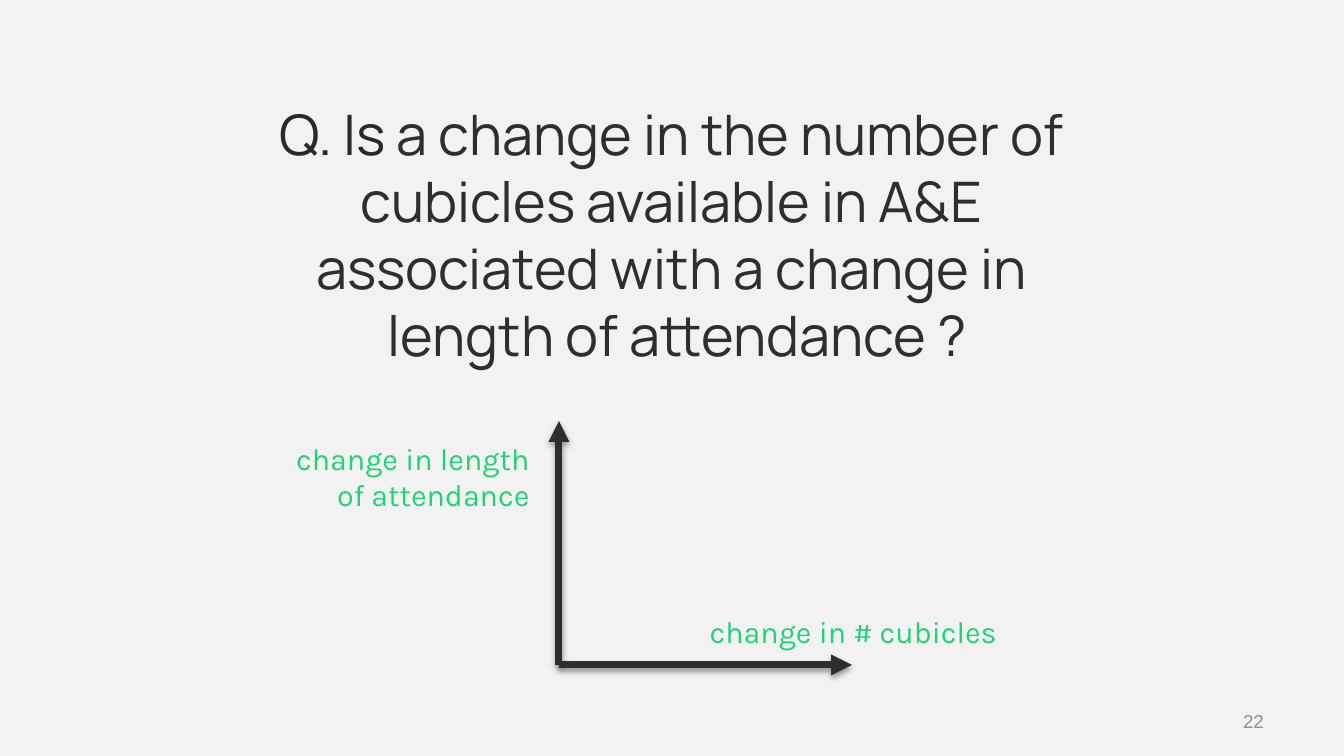
from lxml import etree
from pptx import Presentation
from pptx.dml.color import RGBColor
from pptx.enum.shapes import MSO_CONNECTOR
from pptx.enum.text import MSO_ANCHOR, PP_ALIGN
from pptx.oxml import parse_xml
from pptx.oxml.ns import nsdecls, qn
from pptx.util import Emu, Pt

EMU_PER_PX = 914400 / 134.4
STRAIGHT = MSO_CONNECTOR.STRAIGHT
TOP, MIDDLE, BOTTOM = MSO_ANCHOR.TOP, MSO_ANCHOR.MIDDLE, MSO_ANCHOR.BOTTOM
CENTER, RIGHT = PP_ALIGN.CENTER, PP_ALIGN.RIGHT

BACKGROUND = RGBColor(0xF2, 0xF2, 0xF2)
INK = RGBColor(0x2E, 0x2E, 0x2E)
WARM_INK = RGBColor(0x2C, 0x28, 0x25)
GREEN = RGBColor(0x20, 0xD3, 0x75)
GREY = RGBColor(0x8F, 0x8F, 0x8F)

QUESTION_FONT = {"name": "Manrope", "size": Pt(29.9)}
LABEL_FONT = {"name": "Karla", "size": Pt(16.3)}
NUMBER_FONT = {"name": "Arial", "size": Pt(10)}

AXIS_SHADOW = f"""<a:effectLst {nsdecls("a")}>
  <a:outerShdw blurRad="40000" dist="20000" dir="5400000" rotWithShape="0">
    <a:srgbClr val="000000"><a:alpha val="38000"/></a:srgbClr>
  </a:outerShdw>
</a:effectLst>"""


def px(length):
    return Emu(round(length * EMU_PER_PX))


def add_text(slide, box, lines, font, align, anchor=TOP, inset=None, spacing=None):
    """Add one paragraph; each line is a list of (text, colour) runs."""
    frame = slide.shapes.add_textbox(*map(px, box)).text_frame
    frame_format = {"word_wrap": True, "vertical_anchor": anchor}
    if inset is not None:
        for side in ("left", "top", "right", "bottom"):
            frame_format[f"margin_{side}"] = px(inset)
    for name, value in frame_format.items():
        setattr(frame, name, value)

    paragraph = frame.paragraphs[0]
    paragraph.alignment = align
    paragraph.line_spacing = spacing
    for index, line in enumerate(lines):
        if index:
            paragraph.add_line_break()
        for text, colour in line:
            run = paragraph.add_run()
            run.text = text
            for name, value in font.items():
                setattr(run.font, name, value)
            run.font.color.rgb = colour


def add_axis(slide, start, end):
    """Add a shadowed axis with an arrowhead at its end."""
    axis = slide.shapes.add_connector(STRAIGHT, *map(px, start + end))
    axis.line.color.rgb = INK
    axis.line.width = Pt(3.75)
    etree.SubElement(axis.line._get_or_add_ln(), qn("a:tailEnd"), type="triangle")
    axis._element.spPr.append(parse_xml(AXIS_SHADOW))


def main():
    deck = Presentation()
    deck.slide_width, deck.slide_height = px(1344), px(756)
    slide = deck.slides.add_slide(deck.slide_layouts[6])
    slide.background.fill.solid()
    slide.background.fill.fore_color.rgb = BACKGROUND

    # Research question
    question = [
        [("Q. Is", WARM_INK),
         (" a change in the number of cubicles available in A&E "
          "associated with a change in", INK)],
        [(" length of attendance ?", INK)],
    ]
    add_text(slide, (204, 59, 935, 320), question, QUESTION_FONT, CENTER,
             BOTTOM, inset=11, spacing=Pt(36))

    # Page number
    add_text(slide, (1141, 701, 136, 41), [[("22", GREY)]], NUMBER_FONT, RIGHT, MIDDLE)

    # Axis labels
    add_text(slide, (672, 607, 363, 51), [[("change in # cubicles", GREEN)]],
             LABEL_FONT, CENTER)
    add_text(slide, (276, 433, 267, 124), [[("change in length of attendance", GREEN)]],
             LABEL_FONT, RIGHT)

    # Axes from a shared origin
    origin = (559, 665)
    for tip in ((559, 421), (852, 665)):
        add_axis(slide, origin, tip)

    deck.save("out.pptx")


if __name__ == "__main__":
    main()
